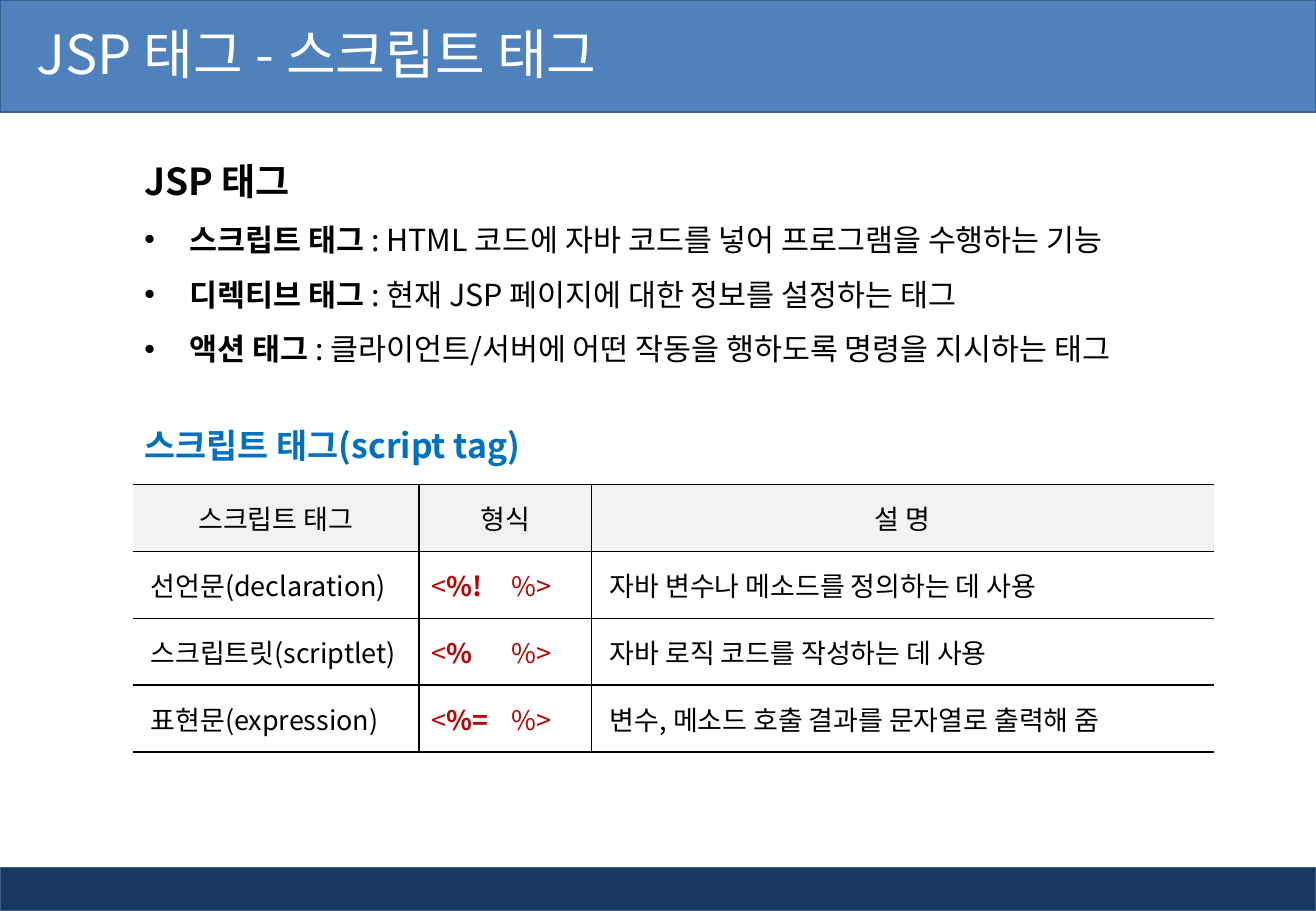
from dataclasses import dataclass

import pptx
import pptx.dml.color
import pptx.enum.text
import pptx.enum.shapes
import pptx.oxml
import pptx.oxml.ns
import pptx.util
from lxml import etree

Cm = pptx.util.Cm
FONT = "Noto Sans CJK KR"
BLACK, WHITE, RED = "000000", "FFFFFF", "C00000"


@dataclass
class Span:
    text: str
    size: float
    color: str = BLACK
    bold: bool = False


@dataclass
class Bar:
    top: float
    height: float
    fill: str


@dataclass
class TagKind:
    name: str
    opening: str
    purpose: str


SLIDE_WIDTH, SLIDE_HEIGHT = 27.51, 19.05
LEFT, TEXT_WIDTH = 2.77, 23.01
TABLE_TOP, ROW_HEIGHT = 10.13, 1.4
COLUMN_WIDTHS = [5.99, 3.61, 13.0]
CLOSING_TAB = 1.68

BARS = [Bar(18.14, 0.91, "17375E"), Bar(0, 2.34, "4F81BD")]
SUMMARIES = [
    ("스크립트 태그 ", ": HTML 코드에 자바 코드를 넣어 프로그램을 수행하는 기능"),
    ("디렉티브 태그 ", ": 현재 JSP 페이지에 대한 정보를 설정하는 태그"),
    ("액션 태그 ", ": 클라이언트/서버에 어떤 작동을 행하도록 명령을 지시하는 태그"),
]
HEADINGS = ["스크립트 태그", "형식", "설 명"]
TAG_KINDS = [
    TagKind("선언문(declaration)", "%!", "자바 변수나 메소드를 정의하는 데 사용"),
    TagKind("스크립트릿(scriptlet)", "%", "자바 로직 코드를 작성하는 데 사용"),
    TagKind("표현문(expression)", "%=", "변수, 메소드 호출 결과를 문자열로 출력해 줌"),
]


def rgb(color: str) -> pptx.dml.color.RGBColor:
    return pptx.dml.color.RGBColor.from_string(color)


def add_element(parent, tag: str, **attributes: str):
    element = etree.SubElement(parent, pptx.oxml.ns.qn(tag))
    for name, value in attributes.items():
        element.set(name, value)
    return element


def write(para, spans: list[Span]) -> None:
    for span in spans:
        run = para.add_run()
        run.text = span.text
        run.font.name = FONT
        run.font.size = pptx.util.Pt(span.size)
        run.font.bold = span.bold
        run.font.color.rgb = rgb(span.color)
        add_element(run.font._element, "a:ea", typeface=FONT)


def add_bar(page, bar: Bar) -> None:
    shape = page.shapes.add_shape(
        pptx.enum.shapes.MSO_SHAPE.RECTANGLE,
        Cm(0), Cm(bar.top), Cm(SLIDE_WIDTH), Cm(bar.height))
    shape.shadow.inherit = False
    shape.fill.solid()
    shape.fill.fore_color.rgb = rgb(bar.fill)
    shape.line.color.rgb = rgb("3A5F8C")
    shape.line.width = pptx.util.Pt(1)


def add_box(page, left: float, top: float, width: float, height: float):
    box = page.shapes.add_textbox(Cm(left), Cm(top), Cm(width), Cm(height))
    box.text_frame.word_wrap = True
    return box.text_frame


def add_title(page) -> None:
    frame = add_box(page, 0, -0.08, 22.2, 2.39)
    frame.margin_left = Cm(0.76)
    frame.vertical_anchor = pptx.enum.text.MSO_ANCHOR.MIDDLE
    write(frame.paragraphs[0], [Span("JSP 태그 - 스크립트 태그", 32, WHITE)])


def add_subtitle(page) -> None:
    para = add_box(page, LEFT, 8.33, TEXT_WIDTH, 1.37).paragraphs[0]
    para.line_spacing = 1.5
    write(para, [Span("스크립트 태그(script tag)", 20, "0070C0", True)])


def add_summary(page) -> None:
    frame = add_box(page, LEFT, 2.72, TEXT_WIDTH, 5.13)
    heading = frame.paragraphs[0]
    heading.line_spacing = 1.5
    write(heading, [Span("JSP 태그", 22, bold=True)])
    for name, meaning in SUMMARIES:
        para = frame.add_paragraph()
        para.line_spacing = 1.5
        properties = para._p.get_or_add_pPr()
        indent = Cm(0.95)
        properties.set("marL", str(indent))
        properties.set("indent", str(-indent))
        add_element(properties, "a:buFont", typeface="Arial")
        add_element(properties, "a:buChar", char="•")
        write(para, [Span(name, 18, bold=True), Span(meaning, 18)])


def set_borders(cell, column: int) -> None:
    visible = {"a:lnL": column > 0, "a:lnR": column < len(COLUMN_WIDTHS) - 1,
               "a:lnT": True, "a:lnB": True}
    properties = cell._tc.get_or_add_tcPr()
    for side, shown in visible.items():
        line = add_element(properties, side, w=str(pptx.util.Pt(1)))
        if shown:
            add_element(add_element(line, "a:solidFill"), "a:srgbClr", val=BLACK)
        else:
            add_element(line, "a:noFill")


def fill_cell(cell, column: int, spans: list[Span], heading: bool) -> None:
    para = cell.text_frame.paragraphs[0]
    cell.vertical_anchor = pptx.enum.text.MSO_ANCHOR.MIDDLE
    set_borders(cell, column)
    if heading:
        cell.fill.solid()
        cell.fill.fore_color.rgb = rgb("F2F2F2")
        para.alignment = pptx.enum.text.PP_ALIGN.CENTER
    else:
        cell.fill.background()
        if column == 1:
            tabs = add_element(para._p.get_or_add_pPr(), "a:tabLst")
            add_element(tabs, "a:tab", pos=str(Cm(CLOSING_TAB)), algn="l")
        else:
            cell.margin_left = Cm(0.38)
    write(para, spans)


def add_tag_table(page) -> None:
    rows = [[[Span(heading, 16)] for heading in HEADINGS]]
    for kind in TAG_KINDS:
        rows.append([
            [Span(kind.name, 16)],
            [Span("<", 16, RED), Span(kind.opening, 16, RED, True), Span("\t%>", 16, RED)],
            [Span(kind.purpose, 16)],
        ])
    table = page.shapes.add_table(
        len(rows), len(COLUMN_WIDTHS), Cm(LEFT), Cm(TABLE_TOP),
        Cm(sum(COLUMN_WIDTHS)), Cm(ROW_HEIGHT * len(rows))).table
    table.first_row = False
    table.horz_banding = False
    for column, width in enumerate(COLUMN_WIDTHS):
        table.columns[column].width = Cm(width)
    for index, row in enumerate(rows):
        table.rows[index].height = Cm(ROW_HEIGHT)
        for column, spans in enumerate(row):
            fill_cell(table.cell(index, column), column, spans, index == 0)


def main() -> None:
    deck = pptx.Presentation()
    deck.slide_width = Cm(SLIDE_WIDTH)
    deck.slide_height = Cm(SLIDE_HEIGHT)
    page = deck.slides.add_slide(deck.slide_layouts[6])
    for bar in BARS:
        add_bar(page, bar)
    add_title(page)
    add_subtitle(page)
    add_tag_table(page)
    add_summary(page)
    deck.save("out.pptx")


if __name__ == "__main__":
    main()
